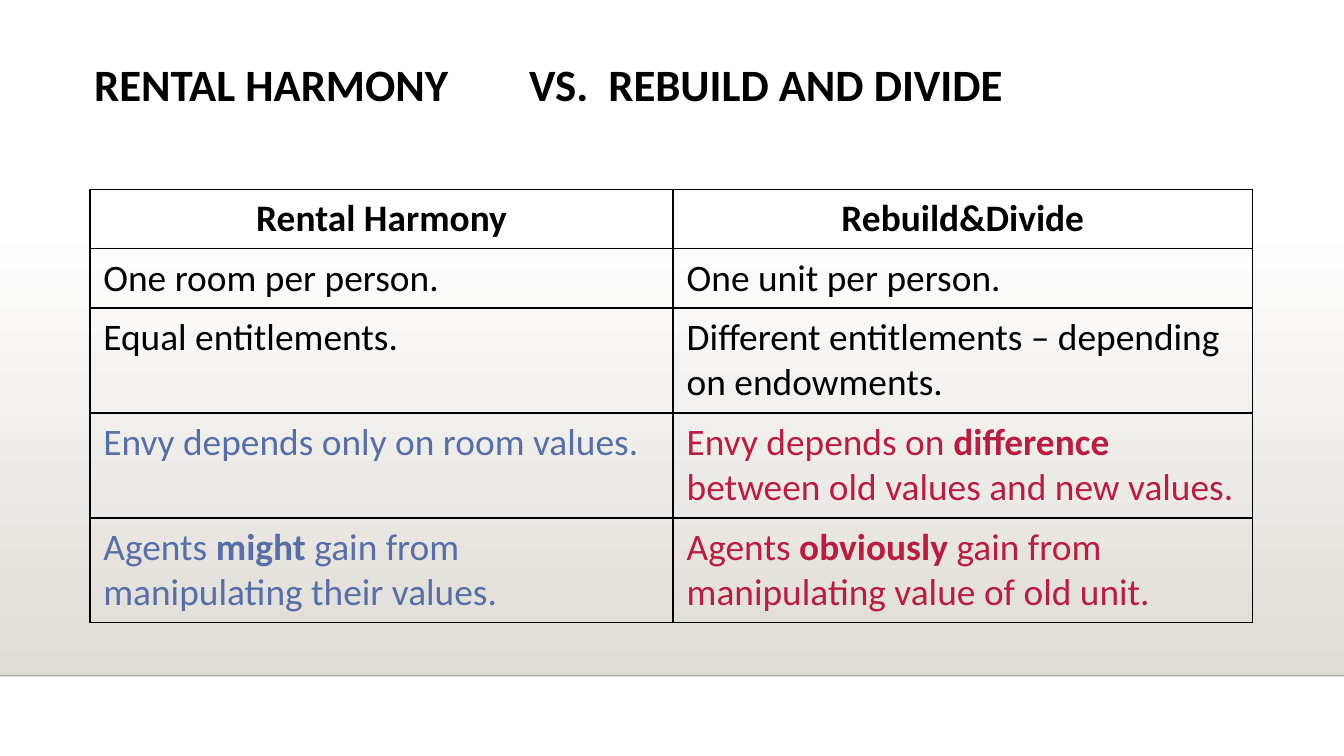
from lxml.etree import SubElement
from pptx import Presentation
from pptx.dml.color import RGBColor
from pptx.enum.shapes import MSO_CONNECTOR as Connector, MSO_SHAPE as Shape
from pptx.enum.text import MSO_ANCHOR as Anchor, MSO_AUTO_SIZE as AutoSize, PP_ALIGN as Align
from pptx.oxml.ns import qn
from pptx.util import Pt

BLACK = RGBColor(0x00, 0x00, 0x00)
WHITE = RGBColor(0xFF, 0xFF, 0xFF)
SAND = RGBColor(0xDF, 0xDB, 0xD5)
BLUE = RGBColor(0x58, 0x6E, 0xA6)
RED = RGBColor(0xB7, 0x1E, 0x42)

ONE_LINE, TWO_LINES = 31.6, 56.2

ROWS = [
    (ONE_LINE, Align.CENTER, (BLACK, BLACK),
     [("Rental Harmony", True)], [("Rebuild&Divide", True)]),
    (ONE_LINE, Align.LEFT, (BLACK, BLACK),
     [("One room per person.", False)], [("One unit per person.", False)]),
    (TWO_LINES, Align.LEFT, (BLACK, BLACK),
     [("Equal entitlements.", False)],
     [("Different entitlements – depending on endowments.", False)]),
    (TWO_LINES, Align.LEFT, (BLUE, RED),
     [("Envy depends only on room values.", False)],
     [("Envy depends on ", False), ("difference ", True),
      ("between old values and new values.", False)]),
    (TWO_LINES, Align.LEFT, (BLUE, RED),
     [("Agents ", False), ("might", True), (" gain from manipulating their values.", False)],
     [("Agents ", False), ("obviously ", True),
      ("gain from manipulating value of old unit.", False)]),
]


def apply(target, values):
    for name, value in values.items():
        setattr(target, name, value)


class SlideBuilder:
    font = "Calibri"

    def __init__(self, slide):
        self.slide = slide

    def add_words(self, paragraph, text, size, color, bold):
        run = paragraph.add_run()
        run.text = text
        apply(run.font, {"name": self.font, "size": Pt(size), "bold": bold})
        run.font.color.rgb = color

    def backdrop(self, left, top, width, height):
        floor = self.slide.shapes.add_shape(
            Shape.RECTANGLE, Pt(left), Pt(top), Pt(width), Pt(height))
        floor.shadow.inherit = False
        floor.line.fill.background()
        floor.fill.gradient()
        floor.fill.gradient_angle = 270
        for stop, color, position in zip(floor.fill.gradient_stops, (WHITE, SAND), (0, 1)):
            stop.color.rgb = color
            stop.position = position

    def horizon(self, left, right, y, opacity):
        edge = self.slide.shapes.add_connector(
            Connector.STRAIGHT, Pt(left), Pt(y), Pt(right), Pt(y))
        edge.line.width = Pt(1)
        edge.line.color.rgb = BLACK
        properties = edge._element.spPr
        tint = properties.find(".//" + qn("a:srgbClr"))
        SubElement(tint, qn("a:alpha"), val=str(opacity * 1000))
        SubElement(properties, qn("a:effectLst"))

    def title(self, text, left, top, width, height, tab_stops):
        heading = self.slide.shapes.title
        apply(heading, {"left": Pt(left), "top": Pt(top),
                        "width": Pt(width), "height": Pt(height)})
        frame = heading.text_frame
        apply(frame, {"margin_left": Pt(7.2), "margin_right": Pt(7.2),
                      "margin_top": Pt(7.2), "margin_bottom": Pt(7.2),
                      "vertical_anchor": Anchor.TOP, "word_wrap": True,
                      "auto_size": AutoSize.NONE})
        paragraph = frame.paragraphs[0]
        apply(paragraph, {"alignment": Align.LEFT, "line_spacing": 0.9})
        tabs = SubElement(paragraph._p.get_or_add_pPr(), qn("a:tabLst"))
        for stop in tab_stops:
            SubElement(tabs, qn("a:tab"), pos=str(Pt(stop)), algn="l")
        self.add_words(paragraph, text, 24, BLACK, True)

    def border(self, cell):
        properties = cell._tc.get_or_add_tcPr()
        for index, side in enumerate(("a:lnL", "a:lnR", "a:lnT", "a:lnB")):
            edge = properties.makeelement(qn(side), {"w": str(Pt(1))})
            fill = SubElement(edge, qn("a:solidFill"))
            SubElement(fill, qn("a:srgbClr"), val=str(BLACK))
            properties.insert(index, edge)

    def table(self, rows, left, top, widths):
        height = sum(row[0] for row in rows)
        grid = self.slide.shapes.add_table(
            len(rows), len(widths), Pt(left), Pt(top), Pt(sum(widths)), Pt(height)).table
        apply(grid, {"first_row": False, "horz_banding": False})
        for column, width in zip(grid.columns, widths):
            column.width = Pt(width)
        for row, (row_height, alignment, colors, *contents) in zip(grid.rows, rows):
            row.height = Pt(row_height)
            for cell, color, content in zip(row.cells, colors, contents):
                cell.fill.background()
                self.border(cell)
                paragraph = cell.text_frame.paragraphs[0]
                paragraph.alignment = alignment
                for text, bold in content:
                    self.add_words(paragraph, text, 20, color, bold)


def main():
    deck = Presentation()
    apply(deck, {"slide_width": Pt(720), "slide_height": Pt(405)})
    builder = SlideBuilder(deck.slides.add_slide(deck.slide_layouts[5]))
    builder.backdrop(0, 119.5, 720, 242.5)
    builder.horizon(0, 720, 362, 20)
    builder.title("RENTAL HARMONY\tVS.\tREBUILD AND DIVIDE",
                  43.2, 26.6, 650, 74.9, (233, 275.5))
    builder.table(ROWS, 48.2, 101.5, (312.5, 310.3))
    deck.save("out.pptx")


if __name__ == "__main__":
    main()
